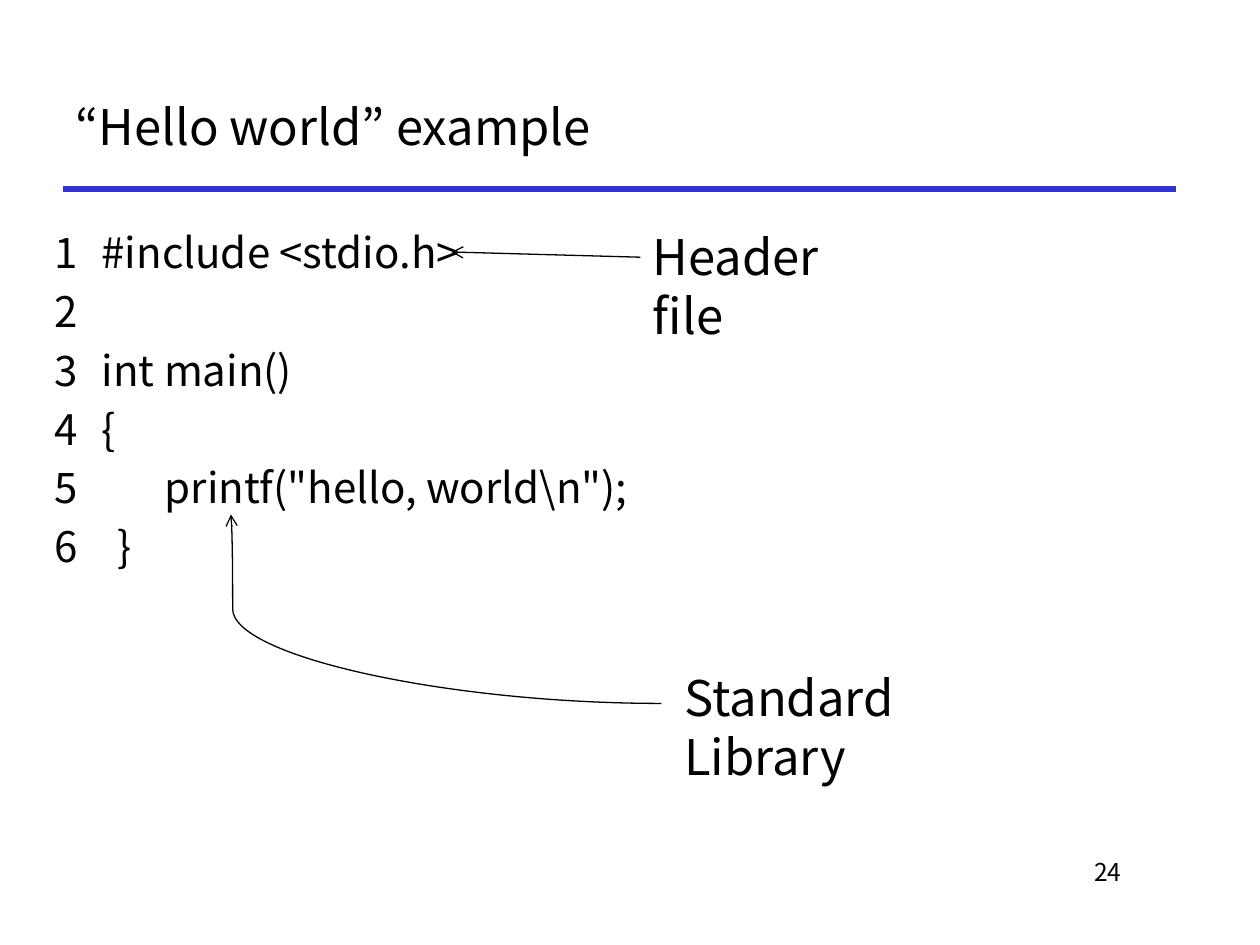
"""Build the "Hello world" code slide with its two annotations."""
from dataclasses import dataclass

from lxml.etree import SubElement
from pptx import Presentation
from pptx.dml.color import RGBColor
from pptx.enum.shapes import MSO_CONNECTOR
from pptx.enum.text import MSO_ANCHOR, PP_ALIGN
from pptx.oxml.ns import qn
from pptx.util import Pt


@dataclass(frozen=True)
class Theme:
    font: str = "Noto Sans CJK KR"
    ink: RGBColor = RGBColor(0, 0, 0)
    rule: RGBColor = RGBColor(0x33, 0x33, 0xCC)
    large: float = 28
    code: float = 24
    small: float = 14
    thin: float = 0.75
    thick: float = 3


THEME = Theme()
TITLE = "“Hello world” example"
PAGE_NUMBER = "24"
CODE = [
    "1 \t#include <stdio.h>",
    "2",
    "3 \tint main()",
    "4 \t{",
    "5 \t\tprintf(\"hello, world\\n\");",
    "}",
]
LAST_LINE = len(CODE)
CODE_INDENT, LAST_INDENT = 27, 36
LABELS = [
    ("Standard Library", (384, 378, 225, 41)),
    ("Header file", (366, 126, 150.5, 41)),
]


def format_text(frame, size, align=PP_ALIGN.LEFT):
    for para in frame.paragraphs:
        para.alignment = align
        for span in para.runs:
            span.font.name = THEME.font
            span.font.size = Pt(size)
            span.font.color.rgb = THEME.ink


def add_text(page, text, place, size, align=PP_ALIGN.LEFT):
    box = page.shapes.add_textbox(*map(Pt, place))
    frame = box.text_frame
    frame.word_wrap = True
    frame.text = text
    format_text(frame, size, align)
    return frame


def add_line(page, kind, start, end, color, width, arrow=False):
    line = page.shapes.add_connector(kind, *map(Pt, start + end))
    line.line.color.rgb = color
    line.line.width = Pt(width)
    properties = line._element.spPr
    if arrow:
        SubElement(properties.find(qn("a:ln")), qn("a:tailEnd"), type="arrow")
    SubElement(properties, qn("a:effectLst"))
    return line


def add_code(page):
    frame = add_text(page, "\n".join(CODE), (24, 126, 660, 348), THEME.code)
    for number, para in enumerate(frame.paragraphs, 1):
        properties = para._p.get_or_add_pPr()
        indent = LAST_INDENT if number == LAST_LINE else CODE_INDENT
        properties.set("marL", str(Pt(indent)))
        properties.set("indent", str(Pt(-indent)))
        if number == LAST_LINE:
            SubElement(properties, qn("a:buAutoNum"),
                       type="arabicPlain", startAt=str(LAST_LINE))
        if number > 1:
            para.space_before = Pt(0.2 * THEME.code)


def add_title(page):
    title = page.shapes.title
    title.left, title.top, title.width, title.height = map(Pt, (36, 36, 636, 72))
    title.text_frame.text = TITLE
    title.text_frame.vertical_anchor = MSO_ANCHOR.MIDDLE
    format_text(title.text_frame, THEME.large)


def main():
    deck = Presentation()
    deck.slide_width, deck.slide_height = Pt(720), Pt(540)
    page = deck.slides.add_slide(deck.slide_layouts[5])

    add_line(page, MSO_CONNECTOR.STRAIGHT, (36, 108), (672, 108),
             THEME.rule, THEME.thick)
    add_text(page, PAGE_NUMBER, (546, 486, 102, 36), THEME.small, PP_ALIGN.RIGHT)
    add_title(page)
    add_code(page)
    for text, place in LABELS:
        add_text(page, text, place, THEME.large)

    curve = add_line(page, MSO_CONNECTOR.CURVE, (378, 402), (132, 294),
                     THEME.ink, THEME.thin, arrow=True)
    guides = curve._element.spPr.find(qn("a:prstGeom")).get_or_add_avLst()
    SubElement(guides, qn("a:gd"), name="adj1", fmla="val 99600")
    add_line(page, MSO_CONNECTOR.STRAIGHT, (366, 147), (258, 144),
             THEME.ink, THEME.thin, arrow=True)

    deck.save("out.pptx")


if __name__ == "__main__":
    main()
